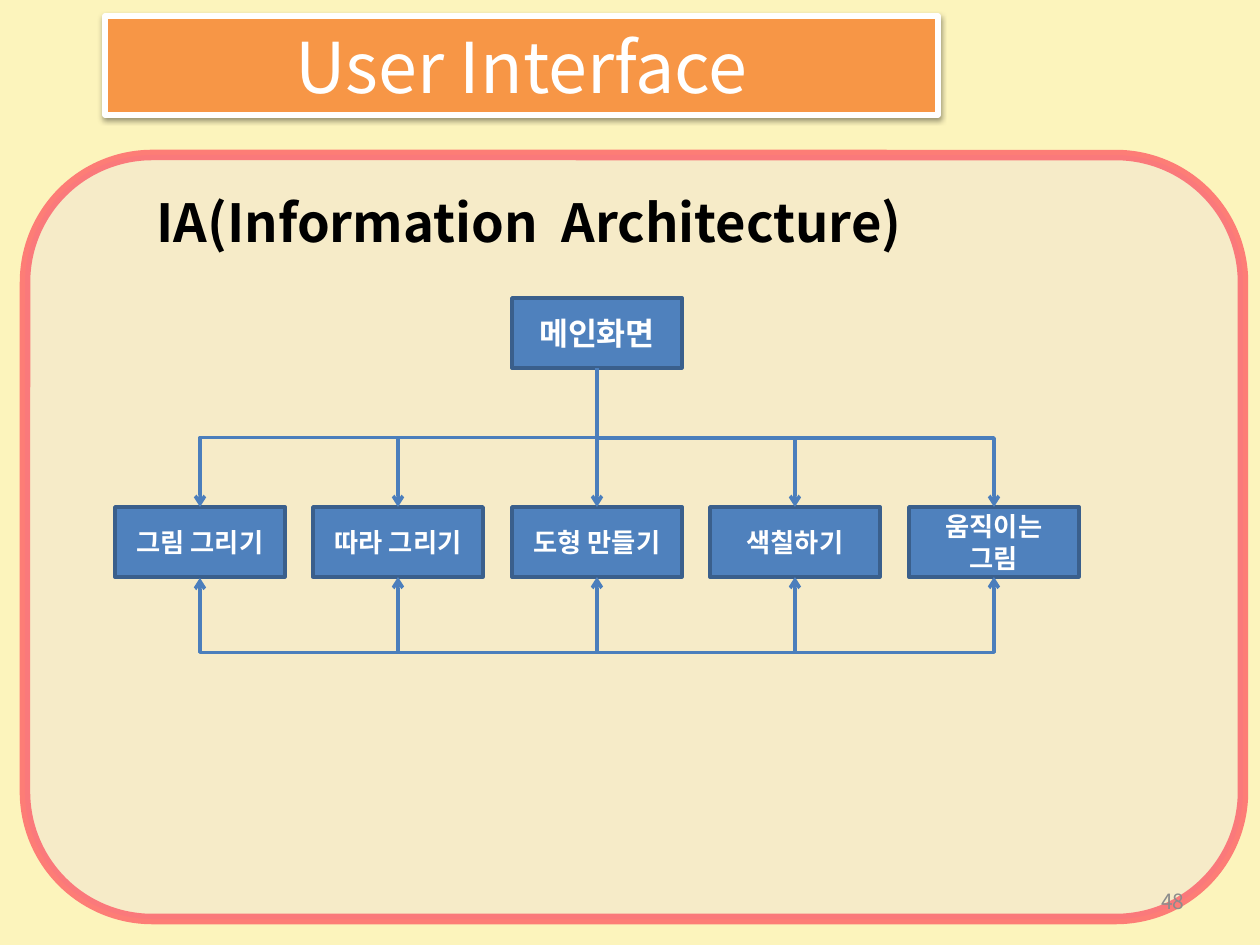
from lxml.etree import SubElement
from pptx import Presentation
from pptx.dml.color import RGBColor
from pptx.enum.shapes import MSO_CONNECTOR as LINK, MSO_SHAPE as SHAPE
from pptx.enum.text import MSO_ANCHOR as ANCHOR, PP_ALIGN as ALIGN
from pptx.oxml import parse_xml
from pptx.oxml.ns import nsdecls, qn
from pptx.util import Pt

PX = 914400 // 126


def rgb(value):
    return RGBColor.from_string(value)


def emu(*lengths):
    return [round(length * PX) for length in lengths]


class Board:
    font = "Noto Sans CJK KR"
    white = "FFFFFF"
    box_fill = "4F81BD"
    box_line = "3A5F8C"
    link_color = "4B7EBC"

    def __init__(self, slide):
        self.slide = slide

    def set_text(self, shape, lines, size, color, align, bold=False, anchor=ANCHOR.MIDDLE):
        frame = shape.text_frame
        frame.text = "\n".join(lines)
        frame.word_wrap = True
        frame.vertical_anchor = anchor
        for paragraph in frame.paragraphs:
            paragraph.alignment = align
            font = paragraph.font
            font.size, font.bold, font.name = Pt(size), bold, self.font
            font.color.rgb = rgb(color)
            SubElement(font._element, qn("a:ea"), typeface=self.font)

    def paint(self, shape, fill, line, width):
        shape.fill.solid()
        shape.fill.fore_color.rgb = rgb(fill)
        shape.line.color.rgb = rgb(line)
        shape.line.width = Pt(width)

    def title(self, text, area):
        banner = self.slide.shapes.title
        banner.left, banner.top, banner.width, banner.height = emu(*area)
        properties = banner._element.spPr
        properties.append(parse_xml(
            f'<a:prstGeom {nsdecls("a")} prst="roundRect"><a:avLst/></a:prstGeom>'))
        self.paint(banner, "F79646", self.white, 3)
        properties.append(parse_xml(
            f'<a:effectLst {nsdecls("a")}><a:outerShdw blurRad="40000" dist="20000" '
            'dir="5400000" rotWithShape="0"><a:srgbClr val="000000">'
            '<a:alpha val="38000"/></a:srgbClr></a:outerShdw></a:effectLst>'))
        self.set_text(banner, [text], 40, self.white, ALIGN.CENTER)

    def panel(self, area, fill, line, width, opacity):
        panel = self.slide.shapes.add_shape(SHAPE.ROUNDED_RECTANGLE, *emu(*area))
        panel.shadow.inherit = False
        self.paint(panel, fill, line, width)
        for color in panel._element.spPr.iter(qn("a:srgbClr")):
            SubElement(color, qn("a:alpha"), val=str(opacity * 1000))

    def text(self, words, area, size, color, align, **style):
        label = self.slide.shapes.add_textbox(*emu(*area))
        self.set_text(label, [words], size, color, align, **style)

    def box(self, lines, area, size):
        box = self.slide.shapes.add_shape(SHAPE.RECTANGLE, *emu(*area))
        box.shadow.inherit = False
        self.paint(box, self.box_fill, self.box_line, 2)
        self.set_text(box, lines, size, self.white, ALIGN.CENTER, bold=True)
        return box

    def style_link(self, link, ends=("tailEnd",)):
        link.line.color.rgb = rgb(self.link_color)
        link.line.width = Pt(2)
        for end in ends:
            SubElement(link.line._get_or_add_ln(), qn(f"a:{end}"), type="arrow")
        SubElement(link._element.spPr, qn("a:effectLst"))

    def arrow(self, x, y, box, side):
        link = self.slide.shapes.add_connector(LINK.STRAIGHT, *emu(x, y, x, y))
        link.end_connect(box, side)
        self.style_link(link)

    def elbow(self, start, end, preset="bentConnector3", turned=False, flipped=False,
              bend=None, ends=("tailEnd",)):
        (x1, y1), (x2, y2) = start, end
        width, height = abs(x2 - x1), abs(y2 - y1)
        if turned:
            width, height = height, width
        left, top = (x1 + x2 - width) / 2, (y1 + y2 - height) / 2
        link = self.slide.shapes.add_connector(
            LINK.ELBOW, *emu(left, top, left + width, top + height))
        properties = link._element.spPr
        if turned:
            properties.xfrm.set("rot", "5400000")
        if flipped:
            properties.xfrm.set("flipH", "1")
            properties.xfrm.set("flipV", "1")
        geometry = properties.find(qn("a:prstGeom"))
        geometry.set("prst", preset)
        if bend is not None:
            SubElement(geometry.find(qn("a:avLst")), qn("a:gd"),
                       name="adj1", fmla=f"val {bend * 100000}")
        self.style_link(link, ends)


def main():
    deck = Presentation()
    deck.slide_width, deck.slide_height = emu(1260, 945)
    slide = deck.slides.add_slide(deck.slide_layouts[5])
    slide.background.fill.solid()
    slide.background.fill.fore_color.rgb = rgb("FCF4BC")

    board = Board(slide)
    board.title("User Interface", (105, 16, 833, 99))
    board.panel((25, 155, 1218, 764), "F2E5D4", "FF1C3D", 6, 54)
    board.text("48", (903, 876, 294, 50), 12, "8C8C8C", ALIGN.RIGHT)
    board.text("IA(Information  Architecture)", (144, 184, 935, 77), 30, "000000",
               ALIGN.LEFT, bold=True, anchor=ANCHOR.TOP)

    width, height = 170, 70
    main_top, menu_top, upper_bus, lower_bus = 298, 507, 438, 652
    menu_bottom = menu_top + height
    menus = [["그림 그리기"], ["따라 그리기"], ["도형 만들기"], ["색칠하기"], ["움직이는", "그림"]]
    lefts = [115 + 397 * i // 2 for i in range(len(menus))]
    centers = [left + width // 2 for left in lefts]
    first, middle, last = centers[0], centers[2], centers[-1]

    board.box(["메인화면"], (lefts[2], main_top, width, height), 18)
    boxes = [board.box(lines, (left, menu_top, width, height), 15)
             for lines, left in zip(menus, lefts)]

    board.elbow((middle, main_top + height), (first, menu_top), turned=True)
    board.elbow((middle, upper_bus), (last, menu_top), preset="bentConnector2")
    board.elbow((first, menu_bottom + 1), (last, menu_bottom), turned=True, flipped=True,
                bend=menu_bottom - lower_bus, ends=("headEnd", "tailEnd"))
    for center, box in list(zip(centers, boxes))[1:-1]:
        board.arrow(center, upper_bus, box, 0)
        board.arrow(center, lower_bus, box, 2)

    deck.save("out.pptx")


if __name__ == "__main__":
    main()
